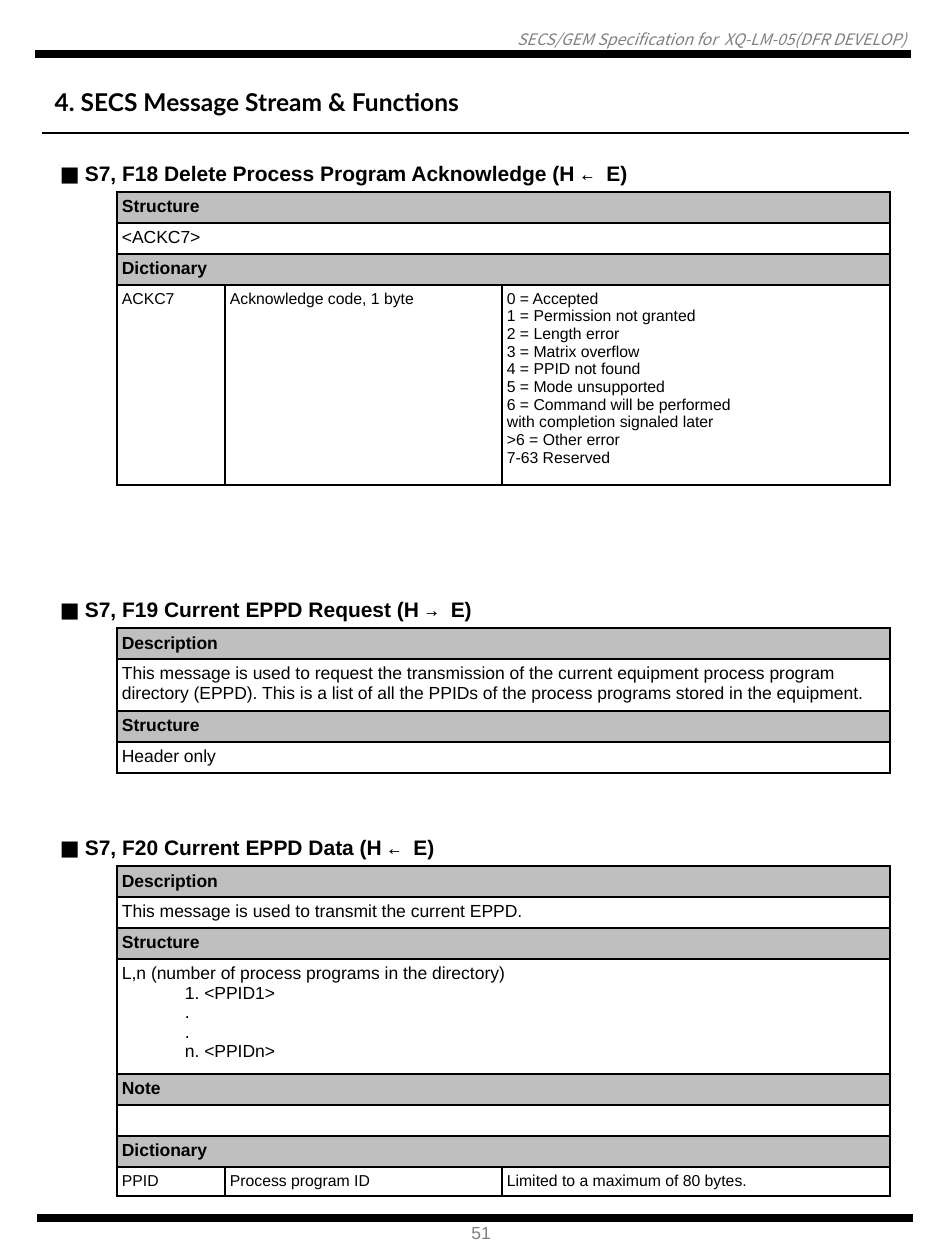
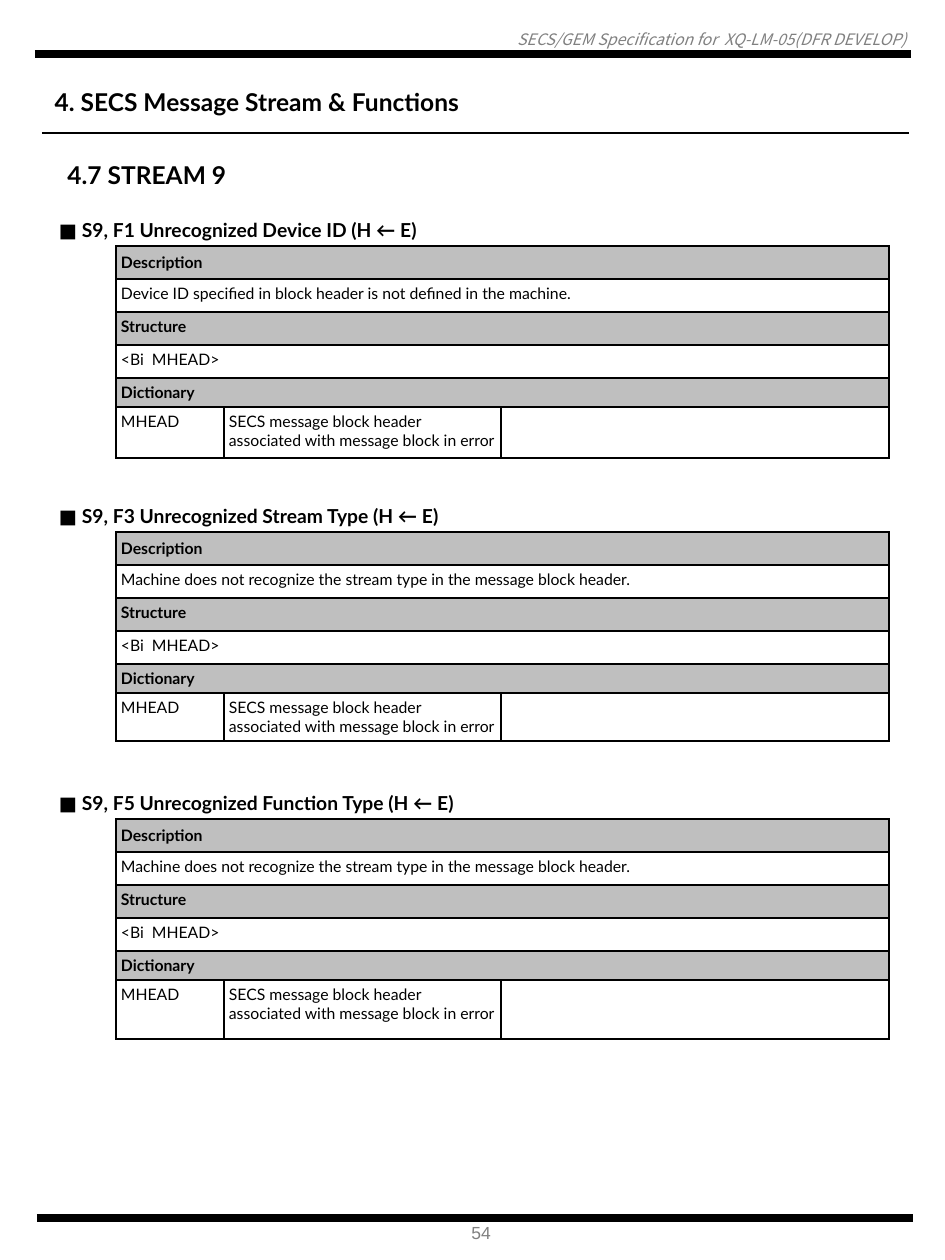
"""Build two pages of a SECS message specification with one table per message."""
from lxml.etree import SubElement
from pptx import Presentation
from pptx.dml.color import RGBColor
from pptx.enum.shapes import MSO_CONNECTOR
from pptx.enum.text import MSO_ANCHOR, MSO_AUTO_SIZE, PP_ALIGN
from pptx.oxml.ns import qn
from pptx.util import Emu, Pt

BLACK = RGBColor(0x00, 0x00, 0x00)
WHITE = RGBColor(0xFF, 0xFF, 0xFF)
GRAY = RGBColor(0x80, 0x80, 0x80)
LABEL_FILL = RGBColor(0xBF, 0xBF, 0xBF)
SANS, LATO, MONO, CJK = "Arial", "Lato", "Noto Sans Mono", "Noto Sans CJK KR"

PAGE = (945, 1260)
RUNNING_HEAD = "SECS/GEM Specification for  XQ-LM-05(DFR DEVELOP)"
CHAPTER = "4. SECS Message Stream & Functions"
RULES = [(35, 911, 54, 4.75), (37, 913, 1218, 4.75), (42, 909, 133, 0.75)]
COLUMNS = [62, 108, 277, 388]
CELL_INSET = 5
LABELS = ("Description", "Structure", "Note", "Dictionary")

ACK_CODES = """0 = Accepted
1 = Permission not granted
2 = Length error
3 = Matrix overflow
4 = PPID not found
5 = Mode unsupported
6 = Command will be performed
with completion signaled later
>6 = Other error
7-63 Reserved"""
EPPD_REQUEST = (
    "This message is used to request the transmission of the current equipment "
    "process program directory (EPPD). This is a list of all the PPIDs of the "
    "process programs stored in the equipment."
)
EPPD_LIST = """L,n (number of process programs in the directory)
\t1. <PPID1>
\t.
\t.
\tn. <PPIDn>"""


def stream_7_heading(name, arrow):
    return [("■ ", LATO), (f"S7, {name} (H ", SANS), (f"{arrow} ", MONO), ("E)", SANS)]


def stream_9_message(top, name, description, last_height):
    return {
        "top": top,
        "heading": [(f"■ S9, {name} (H ← E)", LATO)],
        "rows": [
            "Description", description, "Structure", "<Bi  MHEAD>", "Dictionary",
            ("MHEAD", "SECS message block header associated with message block in error", ""),
        ],
        "heights": [33] * 5 + [29, last_height],
    }


UNKNOWN_STREAM = "Machine does not recognize the stream type in the message block header."
PAGES = [
    {
        "number": "51", "section": None, "left": 55,
        "font": SANS, "heading_size": 12, "body_size": 10, "entry_size": 9,
        "messages": [
            {
                "top": 154,
                "heading": stream_7_heading("F18 Delete Process Program Acknowledge", "←"),
                "rows": ["Structure", "<ACKC7>", "Dictionary",
                         ("ACKC7", "Acknowledge code, 1 byte", ACK_CODES)],
                "heights": [38, 31, 31, 31, 200],
            },
            {
                "top": 590,
                "heading": stream_7_heading("F19 Current EPPD Request", "→"),
                "rows": ["Description", EPPD_REQUEST, "Structure", "Header only"],
                "heights": [38, 31, 52, 31, 31],
            },
            {
                "top": 828,
                "heading": stream_7_heading("F20 Current EPPD Data", "←"),
                "rows": ["Description", "This message is used to transmit the current EPPD.",
                         "Structure", EPPD_LIST, "Note", "", "Dictionary",
                         ("PPID", "Process program ID", "Limited to a maximum of 80 bytes.")],
                "heights": [38, 31, 31, 31, 115, 31, 31, 31, 29],
            },
        ],
    },
    {
        "number": "54", "section": "4.7 STREAM 9", "left": 54,
        "font": LATO, "heading_size": 11, "body_size": 9, "entry_size": 9,
        "messages": [
            stream_9_message(213, "F1 Unrecognized Device ID",
                             "Device ID specified in block header is not defined in the machine.", 51),
            stream_9_message(499, "F3 Unrecognized Stream Type", UNKNOWN_STREAM, 48),
            stream_9_message(786, "F5 Unrecognized Function Type", UNKNOWN_STREAM, 59),
        ],
    },
]


def px(pixels):
    return Emu(round(pixels * 914400 / 126))


def style(font, name, size, color=BLACK, bold=False, italic=False):
    font.name, font.size, font.bold, font.italic = name, Pt(size), bold, italic
    font.color.rgb = color


def write(frame, text, *font, **looks):
    frame.text = text
    for paragraph in frame.paragraphs:
        style(paragraph.font, *font, **looks)
        if not text:
            paragraph._p.get_or_add_endParaRPr().set("sz", str(font[1] * 100))


def add_text(slide, box, text, *font, **looks):
    frame = slide.shapes.add_textbox(*map(px, box)).text_frame
    frame.word_wrap = False
    write(frame, text, *font, **looks)
    return frame


def add_rule(slide, left, right, y, width):
    rule = slide.shapes.add_connector(
        MSO_CONNECTOR.STRAIGHT, px(left), px(y), px(right), px(y))
    rule.line.color.rgb = BLACK
    rule.line.width = Pt(width)
    SubElement(rule._element.spPr, qn("a:effectLst"))


def set_borders(cell, **sides):
    properties = cell._tc.get_or_add_tcPr()
    for side in "LRTB":
        color = sides.get(side, sides["rest"])
        width = 1 if color == BLACK else 0.75
        border = SubElement(properties, qn(f"a:ln{side}"), w=str(Pt(width)))
        SubElement(SubElement(border, qn("a:solidFill")), qn("a:srgbClr"), val=str(color))


def dress_cell(cell, row, column):
    if row == 0:
        set_borders(cell, rest=WHITE)
    elif column == 0:
        set_borders(cell, R=BLACK, rest=WHITE)
    else:
        set_borders(cell, rest=BLACK)
    cell.fill.background()
    cell.margin_left = cell.margin_right = px(CELL_INSET)
    cell.margin_top = cell.margin_bottom = px(CELL_INSET)


def add_message(slide, page, message):
    rows, heights = message["rows"], message["heights"]
    has_entry = isinstance(rows[-1], tuple)
    widths = COLUMNS if has_entry else [COLUMNS[0], sum(COLUMNS[1:])]
    last = len(widths) - 1
    table = slide.shapes.add_table(
        len(heights), len(widths), px(page["left"]), px(message["top"]),
        px(sum(widths)), px(sum(heights))).table
    table.first_row = table.horz_banding = False
    for column, width in zip(table.columns, widths):
        column.width = px(width)
    for r, height in enumerate(heights):
        table.rows[r].height = px(height)
        for c in range(len(widths)):
            dress_cell(table.cell(r, c), r, c)
            write(table.cell(r, c).text_frame, "", page["font"], page["entry_size"])

    heading = table.cell(0, 0)
    heading.merge(table.cell(0, last))
    heading.vertical_anchor = MSO_ANCHOR.MIDDLE
    for text, font in message["heading"]:
        run = heading.text_frame.paragraphs[0].add_run()
        run.text = text
        style(run.font, font, page["heading_size"], bold=True)

    for r, content in enumerate(rows, 1):
        if isinstance(content, tuple):
            for c, text in enumerate(content, 1):
                write(table.cell(r, c).text_frame, text, page["font"], page["entry_size"])
            continue
        cell = table.cell(r, 1)
        if last > 1:
            cell.merge(table.cell(r, last))
        write(cell.text_frame, content, page["font"], page["body_size"], bold=content in LABELS)
        if content in LABELS:
            cell.fill.solid()
            cell.fill.fore_color.rgb = LABEL_FILL
        if content == "Description":
            cell.vertical_anchor = MSO_ANCHOR.MIDDLE
    if has_entry:
        table.cell(len(rows) - 1, 0).merge(table.cell(len(rows), 0))


def add_title(slide):
    title = slide.shapes.title
    title.left, title.top, title.width, title.height = map(px, (42, 81, 486, 43))
    frame = title.text_frame
    frame.word_wrap = False
    frame.auto_size = MSO_AUTO_SIZE.NONE
    frame.vertical_anchor = MSO_ANCHOR.TOP
    write(frame, CHAPTER, LATO, 14, bold=True)
    frame.paragraphs[0].alignment = PP_ALIGN.LEFT


def add_frame(slide, number):
    head = add_text(slide, (6, 30, 900, 19), RUNNING_HEAD, CJK, 9, color=GRAY, italic=True)
    head.word_wrap = True
    head.margin_left = head.margin_right = head.margin_top = head.margin_bottom = 0
    head.paragraphs[0].alignment = PP_ALIGN.RIGHT
    for rule in RULES:
        add_rule(slide, *rule)
    add_text(slide, (459, 1216, 47, 34), number, SANS, 10, color=GRAY)


deck = Presentation()
deck.slide_width, deck.slide_height = map(px, PAGE)
for page in PAGES:
    slide = deck.slides.add_slide(deck.slide_layouts[5])
    add_frame(slide, page["number"])
    add_title(slide)
    if page["section"]:
        add_text(slide, (55, 154, 198, 43), page["section"], LATO, 14, bold=True)
    for message in page["messages"]:
        add_message(slide, page, message)
deck.save("out.pptx")
